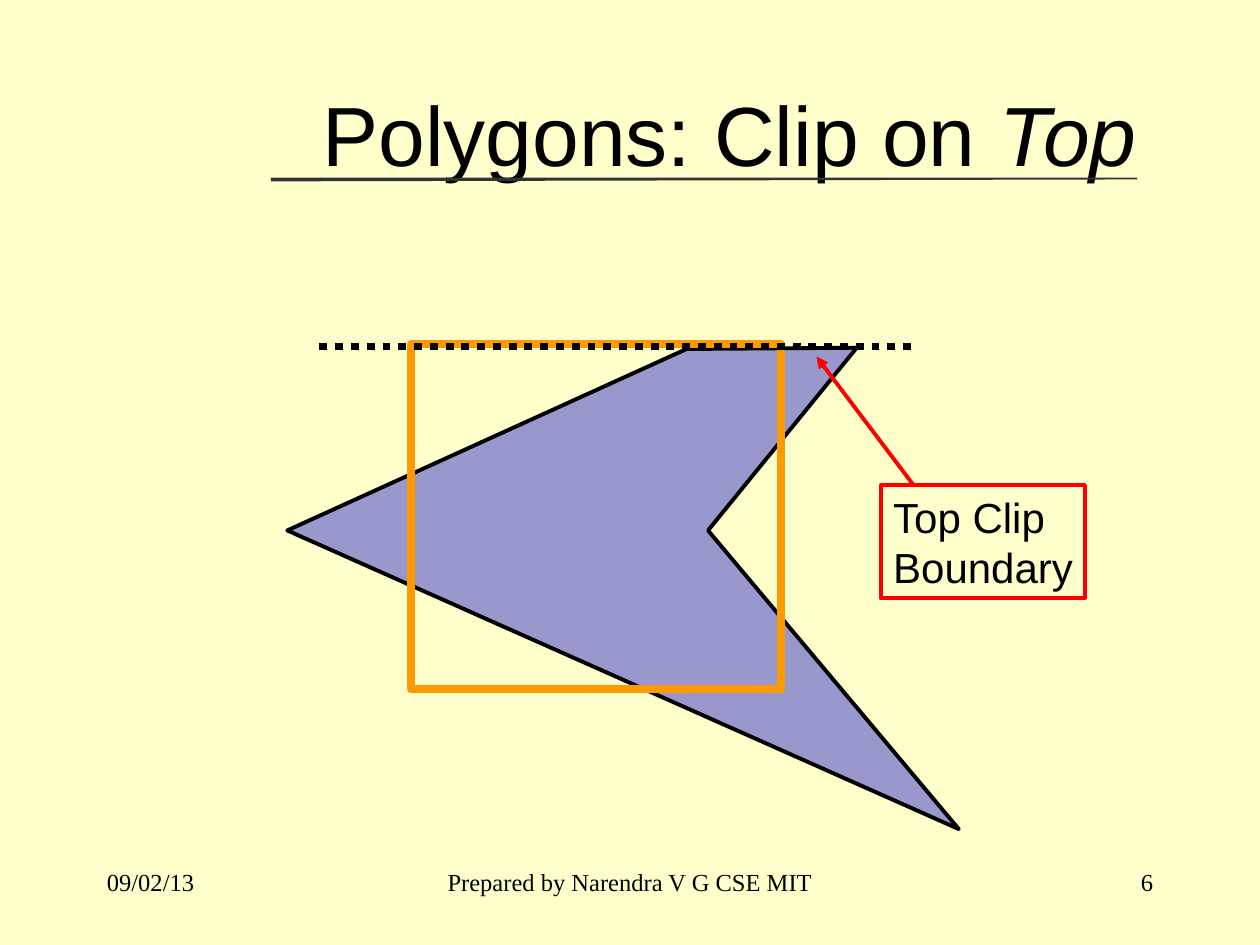
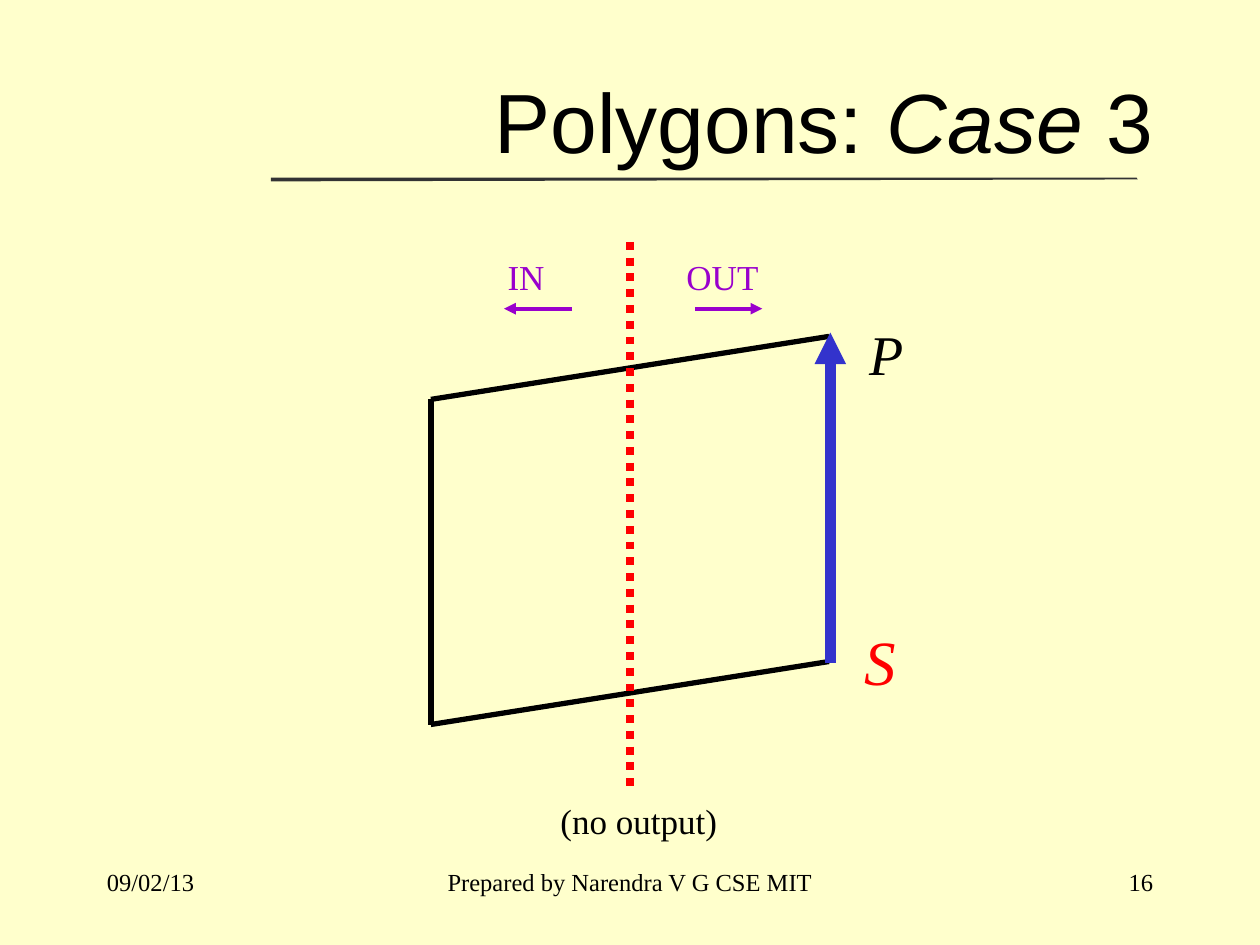
from collections import namedtuple

from lxml import etree
from pptx import Presentation
from pptx.dml.color import RGBColor
from pptx.enum.dml import MSO_LINE_DASH_STYLE as Dash
from pptx.enum.shapes import MSO_CONNECTOR as Connector, MSO_SHAPE as Shape
from pptx.enum.text import MSO_ANCHOR as Anchor, MSO_AUTO_SIZE as AutoSize, PP_ALIGN as Align
from pptx.oxml.ns import qn
from pptx.util import Inches, Pt

COLORS = {
    "paper": "FFFFCC",
    "ink": "000000",
    "rule": "333333",
    "blue": "3333CC",
    "orange": "FF9900",
    "red": "FF0000",
    "purple": "9900CC",
}
SANS, SERIF = "Arial", "Times New Roman"
TITLE_ONLY = 5

Box = namedtuple("Box", "left top width height")


def rgb(name):
    return RGBColor.from_string(COLORS[name])


def inches(values):
    return [Inches(value) for value in values]


# Text and drawing helpers
def write(frame, text, size=20, font=SERIF, color="ink", align=Align.LEFT,
          anchor=Anchor.TOP, wrap=False, italic=()):
    """Write lines of text; any words listed in italic are slanted."""
    frame.auto_size = AutoSize.NONE
    frame.word_wrap = wrap
    frame.vertical_anchor = anchor
    frame.margin_left = frame.margin_right = Inches(0.1)
    frame.margin_top = frame.margin_bottom = Inches(0.05)
    for number, line in enumerate(text.split("\n")):
        paragraph = frame.add_paragraph() if number else frame.paragraphs[0]
        paragraph.alignment = align
        pieces = [line]
        for word in italic:
            before, found, after = line.partition(word)
            pieces = [piece for piece in (before, found, after) if piece]
        for piece in pieces:
            run = paragraph.add_run()
            run.text = piece
            run.font.size = Pt(size)
            run.font.name = font
            run.font.italic = piece in italic
            run.font.color.rgb = rgb(color)


def add_label(slide, box, text, **style):
    label = slide.shapes.add_textbox(*inches(box))
    write(label.text_frame, text, **style)


def add_line(slide, start, end, color="ink", width=3, dash=None, arrow=False):
    line = slide.shapes.add_connector(Connector.STRAIGHT, *inches(start + end))
    line.line.color.rgb = rgb(color)
    line.line.width = Pt(width)
    if dash:
        line.line.dash_style = dash
    if arrow:
        etree.SubElement(line.line._get_or_add_ln(), qn("a:tailEnd"), type="triangle")
    etree.SubElement(line._element.spPr, qn("a:effectLst"))


def add_outline(slide, points, fill, opacity=100, line=None):
    pen = slide.shapes.build_freeform(*inches(points[0]))
    pen.add_line_segments([inches(point) for point in points[1:]], close=True)
    outline = pen.convert_to_shape()
    outline.shadow.inherit = False
    outline.fill.solid()
    outline.fill.fore_color.rgb = rgb(fill)
    if opacity < 100:
        tint = outline._element.spPr.find(".//" + qn("a:srgbClr"))
        etree.SubElement(tint, qn("a:alpha"), val=str(opacity * 1000))
    if line:
        outline.line.color.rgb = rgb(line)
        outline.line.width = Pt(2.25)
    else:
        outline.line.fill.background()


def add_frame(slide, box, color, width):
    frame = slide.shapes.add_shape(Shape.RECTANGLE, *inches(box))
    frame.shadow.inherit = False
    frame.fill.background()
    frame.line.color.rgb = rgb(color)
    frame.line.width = Pt(width)
    return frame


# Shared slide parts
def add_title_rule(slide, box):
    left, top, width, height = box
    right = left + width
    add_outline(slide, [(left, top), (right - 0.01, top), (right, top + height / 2),
                        (left, top + height)], "rule")


def add_footer(slide, box, number):
    left, top, width, height = box
    side = 2.08
    center = 3.17
    parts = [
        (left, side, "09/02/13", Align.LEFT),
        (left + (width - center) / 2, center, "Prepared by Narendra V G CSE MIT", Align.CENTER),
        (left + width - side, side, str(number), Align.RIGHT),
    ]
    for x, part_width, text, align in parts:
        add_label(slide, (x, top, part_width, height), text, size=14, align=align, wrap=True)


def start_slide(prs, title, title_box, italic, number):
    slide = prs.slides.add_slide(prs.slide_layouts[TITLE_ONLY])
    add_title_rule(slide, Box(2.15, 1.41, 6.88, 0.03))
    add_footer(slide, Box(0.75, 6.83, 8.5, 0.5), number)
    heading = slide.shapes.title
    heading.left, heading.top, heading.width, heading.height = inches(title_box)
    write(heading.text_frame, title, size=48, font=SANS, align=Align.RIGHT,
          anchor=Anchor.MIDDLE, wrap=True, italic=italic)
    return slide


# Polygon cut along the top edge of the clip window
def draw_top_clip(slide, box):
    def at(x, y):
        return box.left + x, box.top + y

    add_outline(slide, [at(0, 1.48), at(3.17, 0.04), at(4.52, 0.03), at(3.34, 1.48),
                        at(box.width, box.height)], "blue", opacity=50, line="ink")
    add_frame(slide, at(0.98, 0) + (2.94, 2.74), "orange", 4.5)
    add_line(slide, at(4.95, 0.02), at(0.2, 0.02), width=4.5, dash=Dash.ROUND_DOT)

    # Boundary callout
    callout = add_frame(slide, at(4.71, 1.12) + (1.62, 0.9), "red", 2.25)
    write(callout.text_frame, "Top Clip\nBoundary", size=24, font=SANS)
    add_line(slide, at(4.97, 1.12), at(4.2, 0.1), color="red", width=2.25, arrow=True)


# Edge from S to P lying wholly outside the boundary
def draw_outside_edge(slide, box):
    def at(x, y):
        return box.left + x, box.top + y

    right, middle = box.width, box.width / 2
    upper_left, lower_left = at(0, 1.25), at(0, 3.83)
    upper_right, lower_right = at(right, 0.75), at(right, 3.33)
    for start, end in [(upper_left, lower_left), (upper_left, upper_right),
                       (lower_left, lower_right)]:
        add_line(slide, start, end)
    add_line(slide, upper_right, lower_right, width=1.5)
    add_line(slide, at(right + 0.01, 3.34), at(right + 0.01, 0.72), color="blue",
             width=6, arrow=True)

    add_label(slide, at(0.93, 4.38) + (1.44, 0.44), "(no output)")
    add_label(slide, at(3.38, 0.57) + (0.47, 0.64), "P", size=32, italic=("P",))
    add_line(slide, at(middle, 0), at(middle, box.height), color="red", width=4.5,
             dash=Dash.ROUND_DOT)
    add_label(slide, at(3.34, 2.97) + (0.45, 0.7), "S", size=36, color="red", italic=("S",))

    # Sides of the boundary: text, label left, label width, arrow start, arrow end
    sides = [("IN", 0.51, 0.49, 1.12, 0.58), ("OUT", 1.93, 0.77, 2.1, 2.63)]
    for side, left, width, start, end in sides:
        add_label(slide, at(left, 0.06) + (width, 0.44), side, color="purple")
        add_line(slide, at(start, 0.53), at(end, 0.53), color="purple", width=2.25, arrow=True)


def main():
    prs = Presentation()
    prs.slide_width, prs.slide_height = Inches(10), Inches(7.5)
    paper = prs.slide_master.background.fill
    paper.solid()
    paper.fore_color.rgb = rgb("paper")

    top_clip = start_slide(prs, "Polygons: Clip on Top", Box(0.75, 0.43, 8.37, 1.25), ("Top",), 6)
    draw_top_clip(top_clip, Box(2.28, 2.73, 5.33, 3.85))

    case_three = start_slide(prs, "Polygons: Case 3", Box(0.75, 0.33, 8.5, 1.25), ("Case",), 16)
    draw_outside_edge(case_three, Box(3.42, 1.92, 3.16, 4.36))

    prs.save("out.pptx")


if __name__ == "__main__":
    main()
